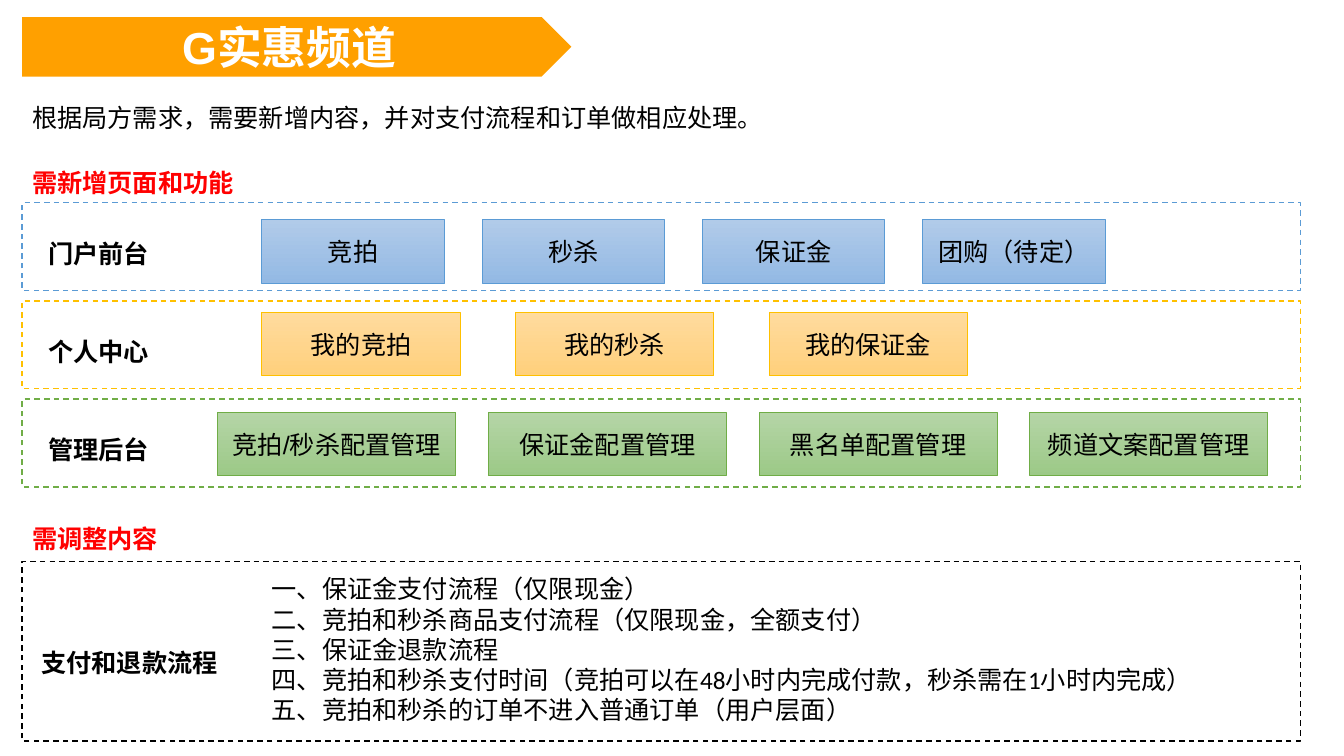
"""Build the channel requirements slide: three rows of new features and one block of changes."""
import pptx
import pptx.util
import pptx.dml.color
import pptx.enum.dml
import pptx.enum.shapes
import pptx.enum.text

Cm, Pt = pptx.util.Cm, pptx.util.Pt
RGB = pptx.dml.color.RGBColor
SHAPE = pptx.enum.shapes.MSO_SHAPE
ALIGN = pptx.enum.text.PP_ALIGN

BLACK = RGB(0x00, 0x00, 0x00)
WHITE = RGB(0xFF, 0xFF, 0xFF)
RED = RGB(0xFF, 0x00, 0x00)
ORANGE = RGB(0xFF, 0xA0, 0x00)
BLUE_LINE = RGB(0x5B, 0x9B, 0xD5)
BLUE_FILL = RGB(0xB1, 0xCB, 0xE9), RGB(0x93, 0xB9, 0xE4)
GOLD_LINE = RGB(0xFF, 0xC0, 0x00)
GOLD_FILL = RGB(0xFF, 0xDB, 0x9E), RGB(0xFF, 0xD0, 0x7C)
GREEN_LINE = RGB(0x70, 0xAD, 0x47)
GREEN_FILL = RGB(0xB5, 0xD5, 0xA7), RGB(0x9C, 0xC9, 0x87)

TITLE = "G实惠频道"
INTRO = "根据局方需求，需要新增内容，并对支付流程和订单做相应处理。"
NEW_HEADING = "需新增页面和功能"
CHANGE_HEADING = "需调整内容"
CHANGE_LABEL = "支付和退款流程"
CHANGES = [
    "一、保证金支付流程（仅限现金）",
    "二、竞拍和秒杀商品支付流程（仅限现金，全额支付）",
    "三、保证金退款流程",
    "四、竞拍和秒杀支付时间（竞拍可以在48小时内完成付款，秒杀需在1小时内完成）",
    "五、竞拍和秒杀的订单不进入普通订单（用户层面）",
]
ROWS = [
    dict(label="门户前台", items=["竞拍", "秒杀", "保证金", "团购（待定）"],
         left=6.6, top=5.54, width=4.6, pitch=5.55, line=BLUE_LINE, fill=BLUE_FILL),
    dict(label="个人中心", items=["我的竞拍", "我的秒杀", "我的保证金"],
         left=6.6, top=7.87, width=5.0, pitch=6.39, line=GOLD_LINE, fill=GOLD_FILL),
    dict(label="管理后台", items=["竞拍/秒杀配置管理", "保证金配置管理", "黑名单配置管理", "频道文案配置管理"],
         left=5.49, top=10.39, width=6.0, pitch=6.82, line=GREEN_LINE, fill=GREEN_FILL),
]
LEFT, FRAME_WIDTH = 0.56, 32.21
ROW_TOP, ROW_PITCH, ROW_HEIGHT = 5.11, 2.475, 2.21
BOX_HEIGHT, TEXT_HEIGHT = 1.6, 1.03


def write(sp, lines, font="Arial", size=18, color=BLACK, bold=False, align=ALIGN.CENTER):
    tf = sp.text_frame
    tf.word_wrap = True
    tf.text = "\n".join(lines)
    for p in tf.paragraphs:
        p.alignment = align
        p.font.name, p.font.size, p.font.bold = font, Pt(size), bold
        p.font.color.rgb = color


def add_text(shapes, left, top, width, height, lines, **style):
    sp = shapes.add_textbox(Cm(left), Cm(top), Cm(width), Cm(height))
    write(sp, lines, **style)
    sp.text_frame.auto_size = pptx.enum.text.MSO_AUTO_SIZE.SHAPE_TO_FIT_TEXT
    return sp


def add_box(shapes, kind, left, top, width, height):
    sp = shapes.add_shape(kind, Cm(left), Cm(top), Cm(width), Cm(height))
    sp.shadow.inherit = False
    sp.text_frame.vertical_anchor = pptx.enum.text.MSO_ANCHOR.MIDDLE
    return sp


def add_frame(shapes, top, height, color):
    sp = add_box(shapes, SHAPE.RECTANGLE, LEFT, top, FRAME_WIDTH, height)
    sp.fill.background()
    sp.line.color.rgb = color
    sp.line.width = Pt(1)
    sp.line.dash_style = pptx.enum.dml.MSO_LINE.DASH


def add_row(shapes, index, row):
    top = ROW_TOP + index * ROW_PITCH
    add_frame(shapes, top, ROW_HEIGHT, row["line"])
    add_text(shapes, LEFT, top + 0.76, 3.86, TEXT_HEIGHT, [row["label"]], bold=True)
    group = shapes.add_group_shape()
    for i, item in enumerate(row["items"]):
        sp = add_box(group.shapes, SHAPE.RECTANGLE, row["left"] + i * row["pitch"],
                     row["top"], row["width"], BOX_HEIGHT)
        sp.fill.gradient()
        sp.fill.gradient_angle = 270
        for stop, color in zip(sp.fill.gradient_stops, row["fill"]):
            stop.color.rgb = color
        for stop, position in zip(sp.fill.gradient_stops, (0, 1)):
            stop.position = position
        sp.line.color.rgb = row["line"]
        sp.line.width = Pt(0.5)
        write(sp, [item])


def main():
    prs = pptx.Presentation()
    prs.slide_width, prs.slide_height = Cm(33.87), Cm(19.05)
    shapes = prs.slides.add_slide(prs.slide_layouts[6]).shapes

    banner = add_box(shapes, SHAPE.PENTAGON, LEFT, 0.43, 13.84, 1.5)
    banner.fill.solid()
    banner.fill.fore_color.rgb = ORANGE
    banner.line.fill.background()
    write(banner, [TITLE], size=32, color=WHITE, bold=True)

    body = dict(font="Calibri", align=ALIGN.LEFT)
    heading = dict(body, color=RED, bold=True)
    add_text(shapes, LEFT, 2.46, 30, TEXT_HEIGHT, [INTRO], **body)
    sp = add_text(shapes, LEFT, 4.09, 5.69, TEXT_HEIGHT, [NEW_HEADING], **heading)
    sp.text_frame.word_wrap = False
    for index, row in enumerate(ROWS):
        add_row(shapes, index, row)

    add_text(shapes, LEFT, 13.06, 5.31, TEXT_HEIGHT, [CHANGE_HEADING], **heading)
    add_frame(shapes, 14.15, 4.52, BLACK)
    add_text(shapes, LEFT, 16.18, 5.41, TEXT_HEIGHT, [CHANGE_LABEL], bold=True)
    add_text(shapes, 6.6, 14.33, 26.19, 4.11, CHANGES, **body)
    prs.save("out.pptx")


if __name__ == "__main__":
    main()
